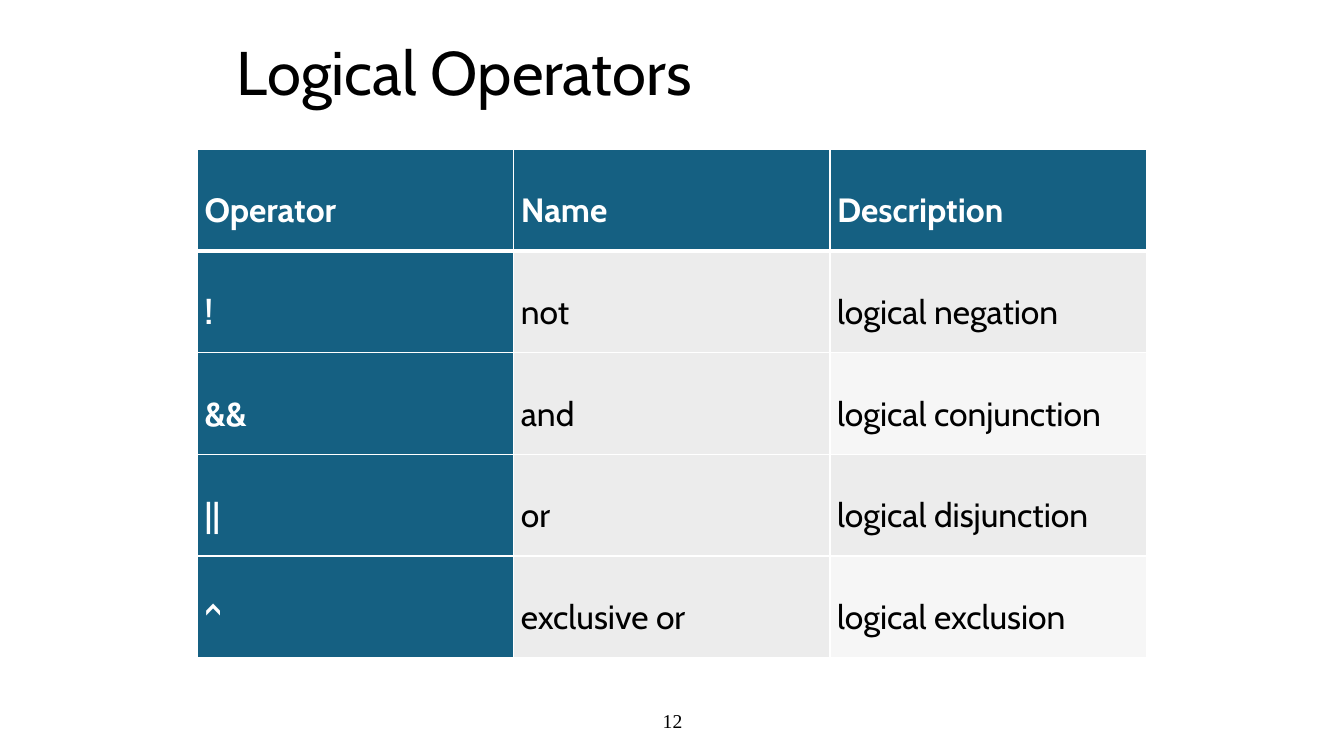
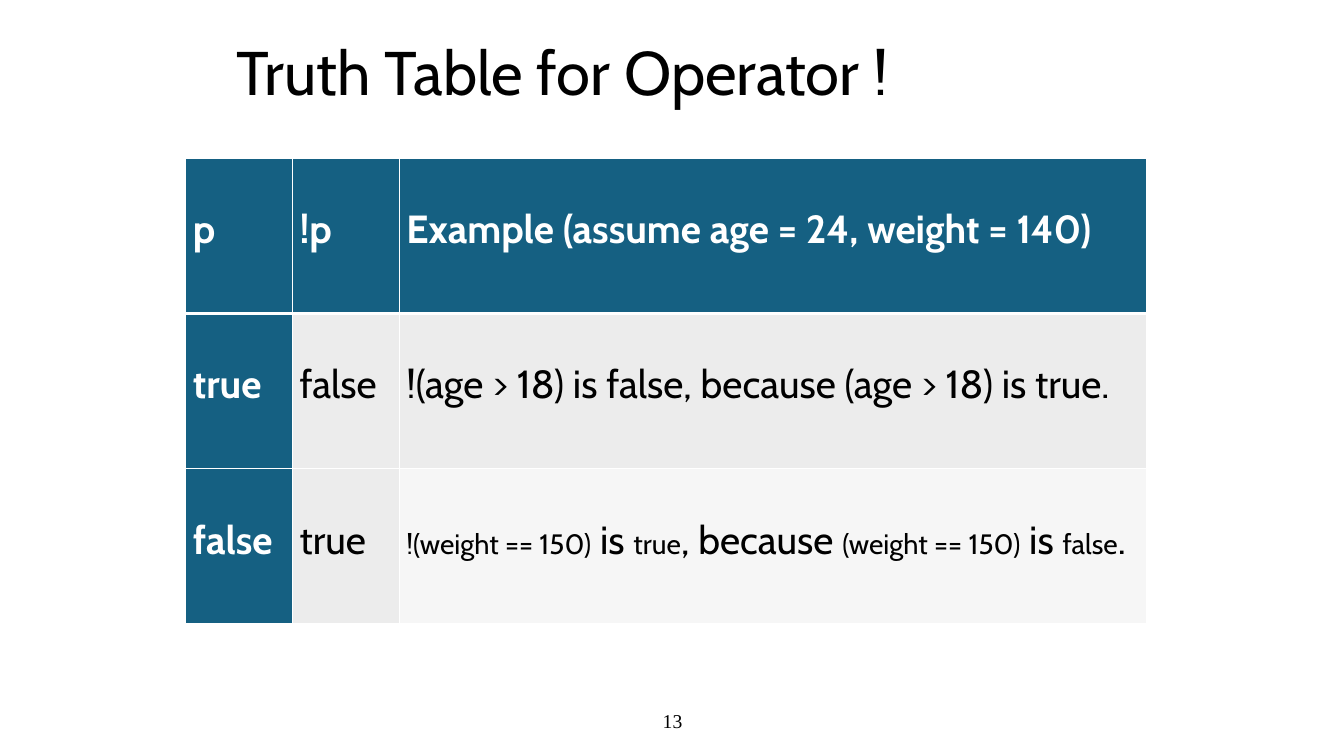
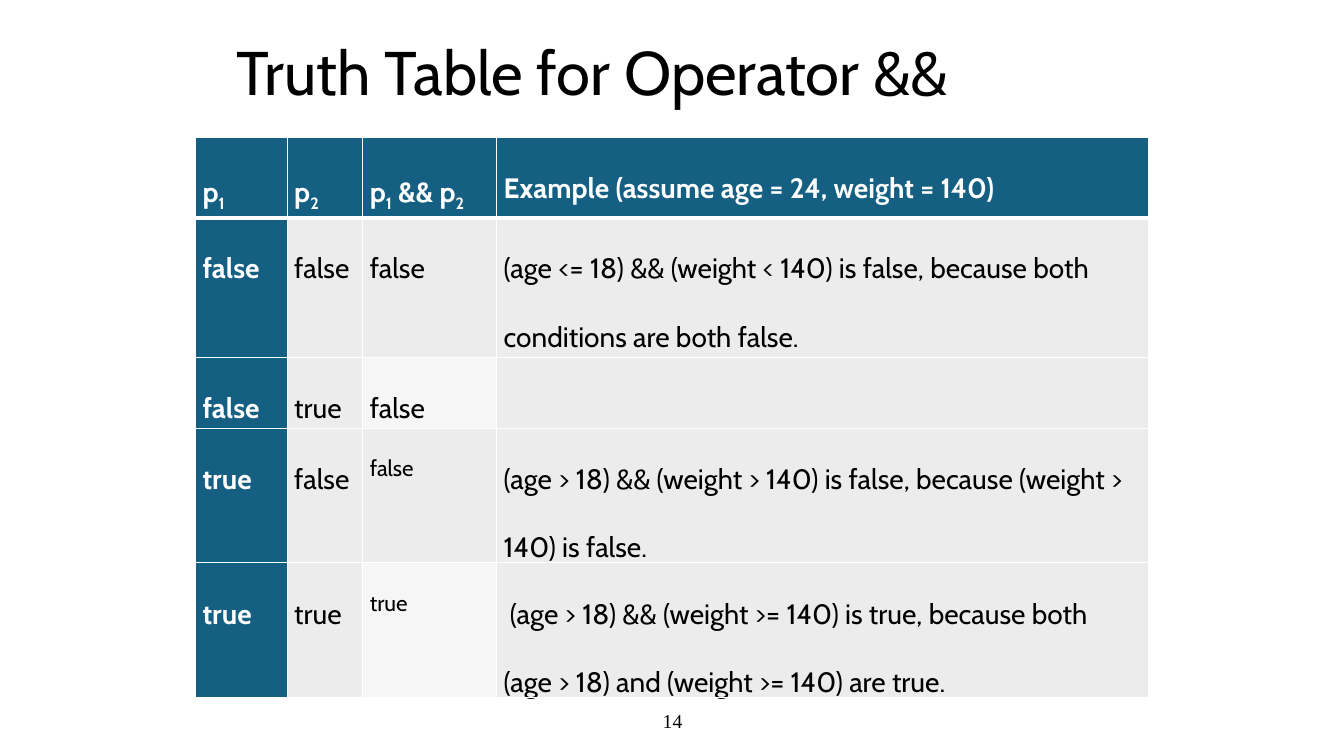
from dataclasses import dataclass

from lxml.etree import SubElement
from pptx import Presentation
from pptx.dml.color import RGBColor
from pptx.enum.text import MSO_ANCHOR, PP_ALIGN
from pptx.oxml.ns import qn
from pptx.util import Inches, Pt


@dataclass(frozen=True)
class Theme:
    """Colours, fonts and type sizes shared by the slides."""

    text: str = "000000"
    light: str = "FFFFFF"
    accent: str = "156082"
    body_band: str = "ECECEC"
    alternate_band: str = "F6F6F6"
    text_font: str = "Cabin"
    number_font: str = "Times New Roman"
    title_size: int = 44
    number_size: int = 14
    title_spacing: float = 0.9
    cell_spacing: float = 2.0
    thin_line: int = 1
    thick_line: int = 3
    cell_margin: float = 0.07


@dataclass(frozen=True)
class Box:
    """A region in percent of the slide's width and height."""

    left: float
    top: float
    width: float
    height: float

    def lengths(self):
        """Return left, top, width and height as slide lengths."""
        return (
            int(SLIDE_WIDTH * self.left / 100),
            int(SLIDE_HEIGHT * self.top / 100),
            int(SLIDE_WIDTH * self.width / 100),
            int(SLIDE_HEIGHT * self.height / 100),
        )


@dataclass(frozen=True)
class Piece:
    """A stretch of cell text with its own size or a lowered baseline."""

    text: str
    size: int = 0
    subscript: bool = False


@dataclass(frozen=True)
class TableSlide:
    """The content of one slide: a title and a table."""

    title: str
    box: Box
    text_size: int
    column_shares: tuple
    row_shares: tuple
    rows: tuple


THEME = Theme()
SLIDE_WIDTH = Inches(13.33)
SLIDE_HEIGHT = Inches(7.5)
TITLE_BOX = Box(16.88, 0, 63.77, 20)
NUMBER_BOX = Box(33.16, 92.67, 33.76, 5.33)
TITLE_ONLY_LAYOUT = 5
FIRST_NUMBER = 12
BANDED_COLUMN = 2

P1 = (Piece("p"), Piece("1", subscript=True))
P2 = (Piece("p"), Piece("2", subscript=True))
P1_AND_P2 = (*P1, Piece(" && p"), P2[1])
EXAMPLE = "Example (assume age = 24, weight = 140)"
WEIGHT_EXAMPLE = (
    Piece("!(weight == 150)", 20),
    Piece(" is "),
    Piece("true", 20),
    Piece(", because "),
    Piece("(weight == 150)", 20),
    Piece(" is "),
    Piece("false", 20),
    Piece("."),
)

SLIDES = (
    TableSlide(
        "Logical Operators",
        Box(14.7, 19.8, 70.6, 67.2),
        24,
        (1, 1, 1),
        (1, 1, 1, 1, 1),
        (
            ("Operator", "Name", "Description"),
            ("!", "not", "logical negation"),
            ("&&", "and", "logical conjunction"),
            ("||", "or", "logical disjunction"),
            ("^", "exclusive or", "logical exclusion"),
        ),
    ),
    TableSlide(
        "Truth Table for Operator !",
        Box(13.83, 20.93, 71.5, 61.6),
        28,
        (1.06, 1.06, 7.42),
        (1, 1, 1),
        (
            ("p", "!p", EXAMPLE),
            ("true", "false", "!(age > 18) is false, because (age > 18) is true."),
            ("false", "true", WEIGHT_EXAMPLE),
        ),
    ),
    TableSlide(
        "Truth Table for Operator &&",
        Box(14.55, 18.13, 70.9, 74),
        20,
        (0.91, 0.75, 1.33, 6.47),
        (0.8, 1.39, 0.7, 1.33, 1.33),
        (
            (P1, P2, P1_AND_P2, EXAMPLE),
            (
                "false",
                "false",
                "false",
                "(age <= 18) && (weight < 140) is false, because both conditions are both false.",
            ),
            ("false", "true", "false", ""),
            (
                "true",
                "false",
                (Piece("false", 16),),
                "(age > 18) && (weight > 140) is false, because (weight > 140) is false.",
            ),
            (
                "true",
                "true",
                (Piece("true", 16),),
                " (age > 18) && (weight >= 140) is true, because both (age > 18) and (weight >= 140) are true.",
            ),
        ),
    ),
)


def place(shape, box):
    """Move a shape to a box."""
    shape.left, shape.top, shape.width, shape.height = box.lengths()


def style_font(font, name, size, colour, bold=False):
    """Set the face, size, colour and weight of a font."""
    font.name = name
    font.size = Pt(size)
    font.bold = bold
    font.color.rgb = RGBColor.from_string(colour)


def add_title(slide, text, box):
    """Fill the title placeholder and place it in its box."""
    title = slide.shapes.title
    place(title, box)
    frame = title.text_frame
    frame.text = text
    frame.vertical_anchor = MSO_ANCHOR.MIDDLE
    paragraph = frame.paragraphs[0]
    paragraph.alignment = PP_ALIGN.LEFT
    paragraph.line_spacing = THEME.title_spacing
    style_font(paragraph.font, THEME.text_font, THEME.title_size, THEME.text)


def add_number(slide, number, box):
    """Write the slide number centred in its box."""
    frame = slide.shapes.add_textbox(*box.lengths()).text_frame
    frame.word_wrap = True
    frame.vertical_anchor = MSO_ANCHOR.MIDDLE
    frame.text = str(number)
    paragraph = frame.paragraphs[0]
    paragraph.alignment = PP_ALIGN.CENTER
    style_font(paragraph.font, THEME.number_font, THEME.number_size, THEME.text)


def set_borders(cell, row_index):
    """Draw thin borders, with a thick one under the header row."""
    top = THEME.thick_line if row_index == 1 else THEME.thin_line
    bottom = THEME.thick_line if row_index == 0 else THEME.thin_line
    sides = {"L": THEME.thin_line, "R": THEME.thin_line, "T": top, "B": bottom}
    properties = cell._tc.get_or_add_tcPr()
    for side, width in sides.items():
        line = SubElement(properties, qn(f"a:ln{side}"), w=str(Pt(width)))
        fill = SubElement(line, qn("a:solidFill"))
        SubElement(fill, qn("a:srgbClr"), val=THEME.light)


def cell_fill(row_index, column_index):
    """Choose the fill of a cell from its row and column."""
    if row_index == 0 or column_index == 0:
        return THEME.accent
    if column_index == BANDED_COLUMN and row_index % 2 == 0:
        return THEME.alternate_band
    return THEME.body_band


def write_cell(cell, content, size, heading):
    """Write plain text or text pieces into a cell."""
    paragraph = cell.text_frame.paragraphs[0]
    paragraph.line_spacing = THEME.cell_spacing
    pieces = (Piece(content),) if isinstance(content, str) else content
    colour = THEME.light if heading else THEME.text
    for piece in pieces:
        run = paragraph.add_run()
        run.text = piece.text
        style_font(run.font, THEME.text_font, piece.size or size, colour, heading)
        if piece.subscript:
            run._r.get_or_add_rPr().set("baseline", "-25000")


def share_out(total, shares):
    """Split a length in proportion to the shares."""
    return [int(total * share / sum(shares)) for share in shares]


def add_operator_table(slide, content):
    """Build the table of a slide inside its box."""
    left, top, width, height = content.box.lengths()
    table = slide.shapes.add_table(
        len(content.row_shares), len(content.column_shares), left, top, width, height
    ).table
    table.first_col = True
    for column, length in zip(table.columns, share_out(width, content.column_shares)):
        column.width = length
    for row, length in zip(table.rows, share_out(height, content.row_shares)):
        row.height = length
    for row_index, row in enumerate(content.rows):
        for column_index, text in enumerate(row):
            cell = table.cell(row_index, column_index)
            cell.margin_left = cell.margin_right = Inches(THEME.cell_margin)
            cell.margin_top = cell.margin_bottom = 0
            set_borders(cell, row_index)
            cell.fill.solid()
            cell.fill.fore_color.rgb = RGBColor.from_string(
                cell_fill(row_index, column_index)
            )
            if text:
                heading = row_index == 0 or column_index == 0
                write_cell(cell, text, content.text_size, heading)


def main():
    """Build and save the presentation."""
    presentation = Presentation()
    presentation.slide_width = SLIDE_WIDTH
    presentation.slide_height = SLIDE_HEIGHT
    layout = presentation.slide_layouts[TITLE_ONLY_LAYOUT]
    for number, content in enumerate(SLIDES, FIRST_NUMBER):
        slide = presentation.slides.add_slide(layout)
        add_number(slide, number, NUMBER_BOX)
        add_title(slide, content.title, TITLE_BOX)
        add_operator_table(slide, content)
    presentation.save("out.pptx")


if __name__ == "__main__":
    main()
